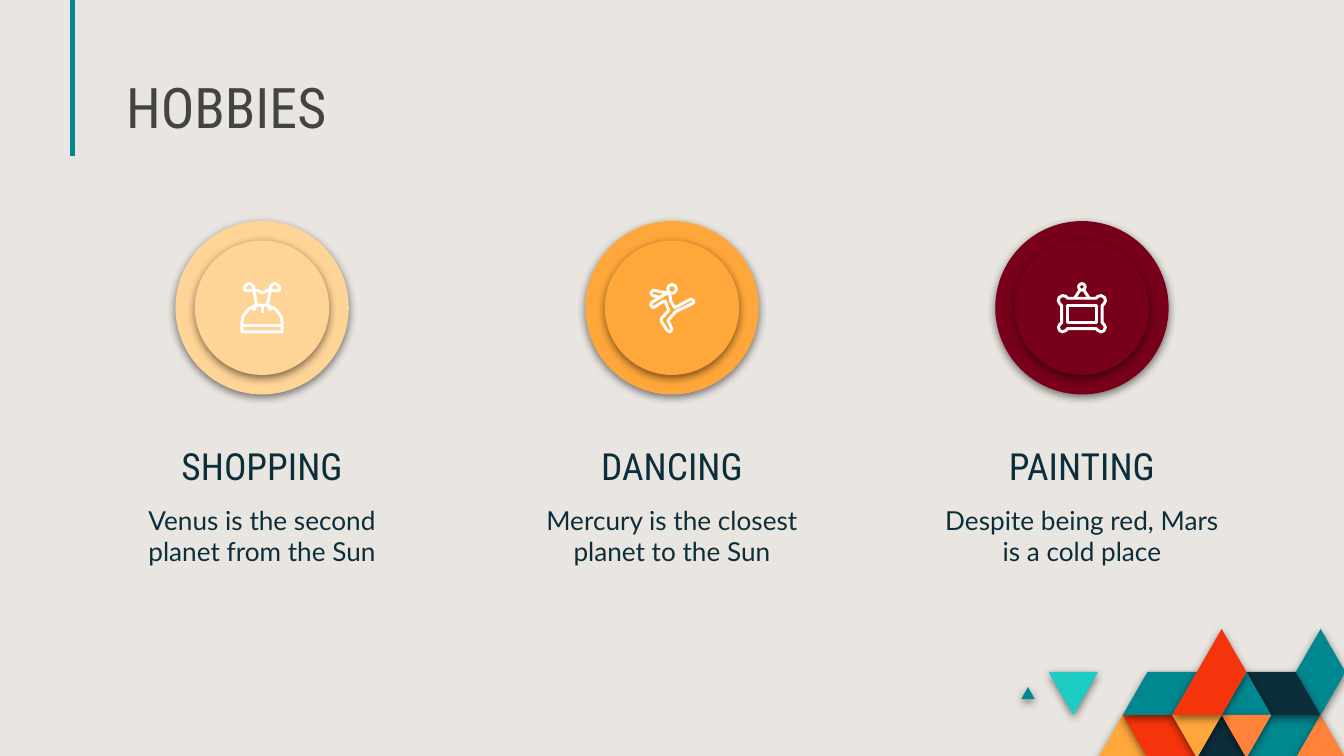
from typing import NamedTuple

import pptx
import pptx.util
import pptx.dml.color
import pptx.enum.shapes
import pptx.enum.text
import pptx.oxml
import pptx.oxml.ns

Inches = pptx.util.Inches
Pt = pptx.util.Pt
Align = pptx.enum.text.PP_ALIGN
Anchor = pptx.enum.text.MSO_ANCHOR
OVAL = pptx.enum.shapes.MSO_SHAPE.OVAL
STRAIGHT = pptx.enum.shapes.MSO_CONNECTOR.STRAIGHT

Dots = list[tuple[float, float]]

WIDE = Inches(10)
HIGH = WIDE * 9 // 16
HEAD, BODY = "Roboto Condensed", "Lato"
TEAL, NAVY, RED, AMBER, CORAL = "018790", "0C2E3A", "F5340B", "FFA73B", "FF823B"
WHITE = "FFFFFF"
SHADOW = (
    f'<a:effectLst {pptx.oxml.ns.nsdecls("a")}>'
    f'<a:outerShdw blurRad="{Pt(4.5)}" dist="{Pt(1.5)}" dir="5400000" '
    'algn="bl" rotWithShape="0"><a:srgbClr val="000000">'
    '<a:alpha val="50000"/></a:srgbClr></a:outerShdw></a:effectLst>'
)


class Stroke(NamedTuple):
    """A line of an icon, in hundredths of an inch from its centre."""
    dots: Dots
    close: bool = False


class Ring(NamedTuple):
    x: float
    y: float
    rad: float


class Hobby(NamedTuple):
    name: str
    text: str
    fill: str
    icon: list[Stroke | Ring]


class Tile(NamedTuple):
    """A polygon whose corners lie on the triangle grid."""
    fill: str
    dots: Dots


def flip(dots: Dots) -> Dots:
    return [(-x, y) for x, y in dots]


def loop(half: Dots) -> Stroke:
    """Closes a right half with its mirror image."""
    return Stroke(half + flip(half)[::-1], True)


def pair(dots: Dots, close: bool = False) -> list[Stroke]:
    return [Stroke(dots, close), Stroke(flip(dots), close)]


DRESS = [
    loop([(4, -2), (10, 1), (14, 6), (15, 11), (15, 18)]),
    Stroke([(-15, 13), (15, 13)]),
    Stroke([(0, -2), (0, 4)]),
    Stroke([(-6, -13), (-4, -13), (0, -11), (4, -13), (6, -13)]),
    *pair([(6, -13), (4, -2), (6.5, 2)]),
    *pair([(6, -13), (6.5, -16), (8, -17.5), (10, -18), (12, -17),
           (13, -15), (13, -13)], True),
]
DANCER = [
    Ring(0, -14, 3.2),
    Stroke([(-4, -11), (-14, -13), (-16, -11), (-14.5, -9), (-8, -7.5)]),
    Stroke([(-3.5, -11), (-15, -4), (-16, -2), (-14, 0), (-6, -5), (-5, -5),
            (-2.5, 2), (-8, 8), (-8, 10), (-3.5, 17), (-1.5, 18), (0, 16),
            (-3, 9.5), (2.5, 3), (16, -3.5), (16, -5.5), (14, -6.5),
            (2, 0), (-1, -5), (-1.5, -9.5)], True),
]
FRAME = [
    Ring(0, -15.5, 2.4),
    *pair([(1.5, -13), (5.5, -7)]),
    loop([(11, -2), (11, 11)]),
    loop([(10.5, -7), (12, -8.5), (14.5, -9), (17, -7.5), (17.5, -5),
          (16.5, -3), (15, -1.5), (15, 11), (16.5, 12.5), (17.5, 14.5),
          (16.5, 17), (14.5, 18), (12, 17), (10.5, 15.5)]),
]
HOBBIES = [
    Hobby("SHOPPING", "Venus is the second planet from the Sun", "FFD497", DRESS),
    Hobby("DANCING", "Mercury is the closest planet to the Sun", AMBER, DANCER),
    Hobby("PAINTING", "Despite being red, Mars is a cold place", "78001B", FRAME),
]
TILES = [
    Tile(AMBER, [(0, 3), (1, 2), (2, 3)]),
    Tile(RED, [(1, 2), (3, 2), (4, 3), (2, 3)]),
    Tile(TEAL, [(6, 3), (7, 2), (9, 2), (8, 3)]),
    Tile(CORAL, [(8, 3), (9, 2), (10, 3)]),
    Tile(NAVY, [(4, 3), (5, 2), (6, 3)]),
    Tile(TEAL, [(1, 2), (2, 1), (4, 1), (3, 2)]),
    Tile(TEAL, [(-3.1, 1.63), (-2.83, 1.35), (-2.56, 1.63)]),
    Tile("1DCDC3", [(-2, 1), (0, 1), (-1, 2)]),
    Tile(TEAL, [(8, 1), (9, 0), (10, 1), (9, 2)]),
    Tile(NAVY, [(6, 1), (8, 1), (9, 2), (7, 2)]),
    Tile(TEAL, [(5, 2), (6, 1), (7, 2)]),
    Tile(CORAL, [(5, 2), (7, 2), (6, 3)]),
    Tile(AMBER, [(3, 2), (5, 2), (4, 3)]),
    Tile(RED, [(3, 2), (5, 0), (6, 1), (5, 2)]),
]


def tint(hue: str) -> pptx.dml.color.RGBColor:
    return pptx.dml.color.RGBColor.from_string(hue)


def outline(slide, dots: Dots, close: bool = True):
    """Builds a polygon or open line from points in inches."""
    spots = [(Inches(x), Inches(y)) for x, y in dots]
    pen = slide.shapes.build_freeform(*spots[0], scale=1.0)
    pen.add_line_segments(spots[1:], close=close)
    return pen.convert_to_shape()


def disc(slide, x: float, y: float, rad: float):
    return slide.shapes.add_shape(
        OVAL, Inches(x - rad), Inches(y - rad), Inches(2 * rad), Inches(2 * rad))


def paint(shape, hue: str) -> None:
    """Gives a shape a flat fill and a soft shadow."""
    shape.fill.solid()
    shape.fill.fore_color.rgb = tint(hue)
    shape.line.fill.background()
    shape._element.spPr.append(pptx.oxml.parse_xml(SHADOW))


def sketch(shape) -> None:
    """Leaves only a thin white line."""
    shape.shadow.inherit = False
    shape.fill.background()
    shape.line.color.rgb = tint(WHITE)
    shape.line.width = Pt(1.6)


def label(slide, text: str, x: float, y: float, w: float, h: float, size: float,
          font: str, hue: str, align=Align.CENTER, anchor=Anchor.BOTTOM):
    box = slide.shapes.add_textbox(Inches(x), Inches(y), Inches(w), Inches(h))
    frame = box.text_frame
    frame.word_wrap = True
    frame.vertical_anchor = anchor
    frame.margin_left = frame.margin_right = Inches(0.1)
    frame.margin_top = frame.margin_bottom = Inches(0.1)
    frame.text = text
    para = frame.paragraphs[0]
    para.alignment = align
    run = para.runs[0].font
    run.size, run.name = Pt(size), font
    run.color.rgb = tint(hue)
    return para


def draw_icon(slide, icon: list[Stroke | Ring], x: float, y: float) -> None:
    for part in icon:
        if isinstance(part, Ring):
            shape = disc(slide, x + part.x / 100, y + part.y / 100, part.rad / 100)
        else:
            dots = [(x + a / 100, y + b / 100) for a, b in part.dots]
            shape = outline(slide, dots, part.close)
        sketch(shape)


def draw_hobby(slide, hobby: Hobby, mid: float) -> None:
    top = 2.29
    for size in (1.29, 1):
        paint(disc(slide, mid, top, size / 2), hobby.fill)
    draw_icon(slide, hobby.icon, mid, top)
    label(slide, hobby.name, mid - 0.94, 3.26, 1.88, 0.47, 20, HEAD, NAVY)
    label(slide, hobby.text, mid - 1.16, 3.65, 2.32, 0.83, 14, BODY, NAVY,
          anchor=Anchor.TOP)


def draw_tile(slide, tile: Tile) -> None:
    dots = [(8.17 + 1.84 * i / 10, 4.68 + 0.32 * j) for i, j in tile.dots]
    paint(outline(slide, dots), tile.fill)


def draw_rule(slide) -> None:
    x = Inches(0.54)
    rule = slide.shapes.add_connector(STRAIGHT, x, 0, x, Inches(1.16))
    rule.line.color.rgb = tint(TEAL)
    rule.line.width = Pt(2.25)
    rule._element.spPr.append(pptx.oxml.parse_xml(
        f'<a:effectLst {pptx.oxml.ns.nsdecls("a")}/>'))


def main() -> None:
    deck = pptx.Presentation()
    deck.slide_width, deck.slide_height = WIDE, HIGH
    slide = deck.slides.add_slide(deck.slide_layouts[6])
    slide.background.fill.solid()
    slide.background.fill.fore_color.rgb = tint("E9E6E1")
    draw_rule(slide)
    for tile in TILES:
        draw_tile(slide, tile)
    title = label(slide, "HOBBIES", 0.84, 0.51, 4.16, 0.63, 30, HEAD, "434343",
                  Align.LEFT)
    title.line_spacing = 0.8
    for i, hobby in enumerate(HOBBIES):
        draw_hobby(slide, hobby, 1.95 + 3.05 * i)
    deck.save("out.pptx")


if __name__ == "__main__":
    main()
